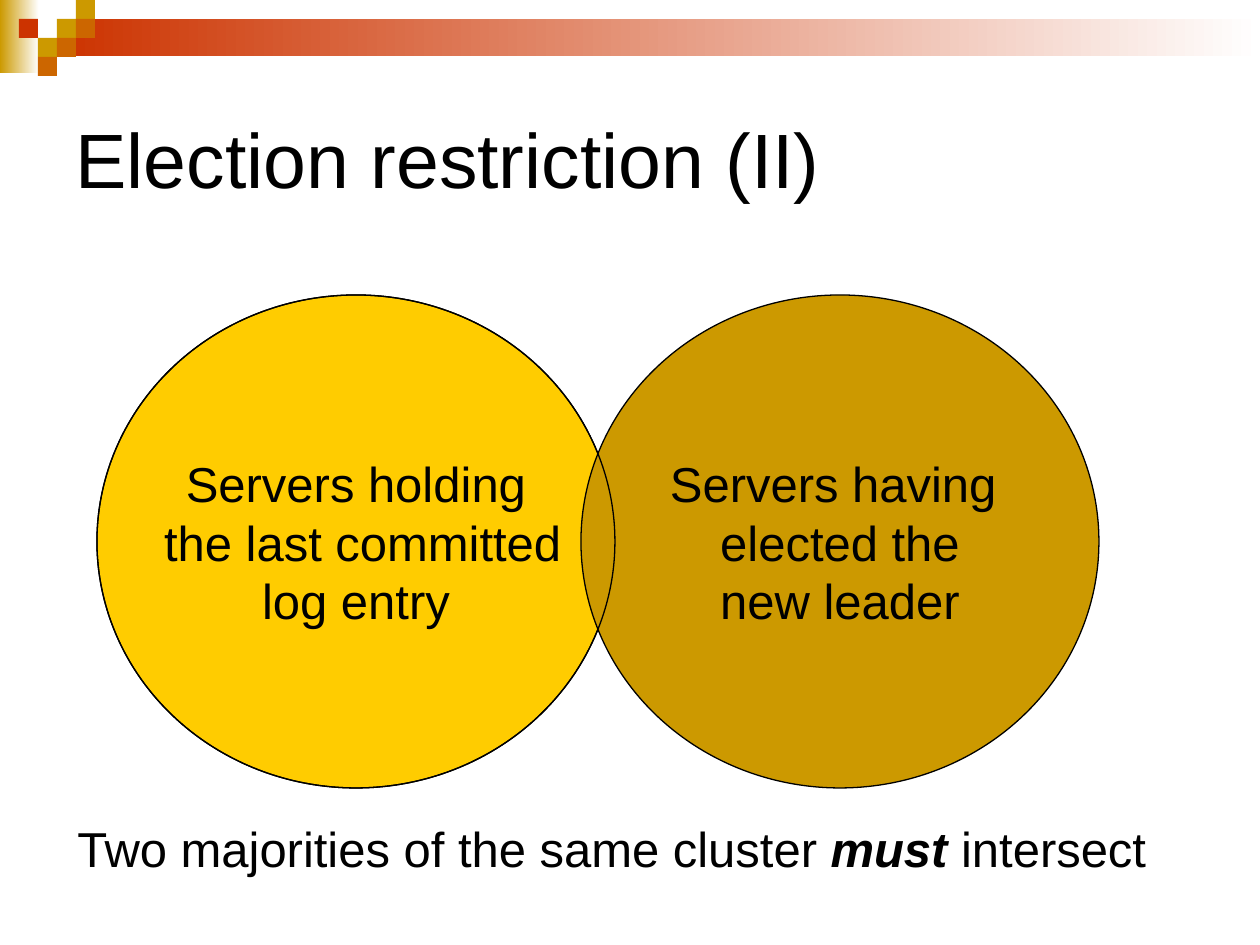
from pptx import Presentation
from pptx.dml.color import RGBColor as RGB
from pptx.enum.shapes import MSO_SHAPE as SHAPE
from pptx.enum.text import MSO_ANCHOR as ANCHOR, PP_ALIGN as ALIGN
from pptx.util import Emu, Pt

THEME = {
    "font": "Arial", "title": Pt(44), "body": Pt(28), "line": Pt(0.75),
    "black": RGB(0x00, 0x00, 0x00), "white": RGB(0xFF, 0xFF, 0xFF),
    "gold": RGB(0xCC, 0x99, 0x00), "yellow": RGB(0xFF, 0xCC, 0x00),
    "orange": RGB(0xCC, 0x66, 0x00), "red": RGB(0xCC, 0x33, 0x00),
}
SCALE = 914400 / 126  # EMU per px


def px(*lengths):
    return [Emu(round(n * SCALE)) for n in lengths]


def add_shape(kind, box, fill=None, fade_to=None, outlined=False):
    sp = s.shapes.add_shape(kind, *px(*box))
    sp.shadow.inherit = False
    if fade_to:
        sp.fill.gradient()
        sp.fill.gradient_angle = 0
        for stop, color in zip(sp.fill.gradient_stops, (fill, fade_to)):
            stop.color.rgb = THEME[color]
    elif fill:
        sp.fill.solid()
        sp.fill.fore_color.rgb = THEME[fill]
    else:
        sp.fill.background()
    if outlined:
        sp.line.color.rgb = THEME["black"]
        sp.line.width = THEME["line"]
    else:
        sp.line.fill.background()
    return sp


prs = Presentation()
prs.slide_width, prs.slide_height = px(1260, 945)
s = prs.slides.add_slide(prs.slide_layouts[5])  # Title Only

# Header bands, fading to white
CELL = 19
BAND_LEFT = 3 * CELL
add_shape(SHAPE.RECTANGLE, (0, 0, 39, 73), "gold", "white")
add_shape(SHAPE.RECTANGLE, (BAND_LEFT, CELL, 1260 - BAND_LEFT, 37), "red", "white")

# Header squares: each color fills cells of a grid of (column, row)
squares = {
    "gold": [(4, 0), (3, 1), (2, 2)],
    "orange": [(4, 1), (3, 2), (2, 3)],
    "red": [(1, 1)],
}
for color, cells in squares.items():
    for col, row in cells:
        add_shape(SHAPE.RECTANGLE, (col * CELL, row * CELL, CELL, CELL), color)

# Title placeholder
title = s.shapes.title
title.left, title.top, title.width, title.height = px(63, 63, 1134, 189)

# Overlapping majorities, with the left outline drawn again over the overlap
left_box = (97, 295, 518, 493)
right_box = (581, 295, 518, 493)
holders = add_shape(SHAPE.OVAL, left_box, "yellow", outlined=True)
electors = add_shape(SHAPE.OVAL, right_box, "gold", outlined=True)
add_shape(SHAPE.OVAL, left_box, outlined=True)

# Conclusion box
conclusion = s.shapes.add_textbox(*px(65, 812, 1096, 72))

# Text: shape, size, frame format, alignment, then paragraphs as lists of runs
emphasis = {"bold": True, "italic": True}
middle = {"vertical_anchor": ANCHOR.MIDDLE}
unwrapped = {"word_wrap": False}
texts = [
    (title, "title", middle, ALIGN.LEFT, [[("Election restriction (II)", {})]]),
    (holders, "body", middle | unwrapped, ALIGN.CENTER,
     [[("Servers holding", {})], [(" the last committed", {})], [("log entry", {})]]),
    (electors, "body", middle | unwrapped, ALIGN.CENTER,
     [[("Servers having ", {})], [("elected the", {})], [("new leader", {})]]),
    (conclusion, "body", unwrapped, ALIGN.LEFT,
     [[("Two majorities of the same cluster ", {}), ("must", emphasis), (" intersect", {})]]),
]
for sp, size, frame_format, align, paragraphs in texts:
    tf = sp.text_frame
    for key, value in frame_format.items():
        setattr(tf, key, value)
    for i, runs in enumerate(paragraphs):
        p = tf.add_paragraph() if i else tf.paragraphs[0]
        p.alignment = align
        for text, style in runs:
            r = p.add_run()
            r.text = text
            r.font.color.rgb = THEME["black"]
            font_format = {"name": THEME["font"], "size": THEME[size]} | style
            for key, value in font_format.items():
                setattr(r.font, key, value)

prs.save("out.pptx")
